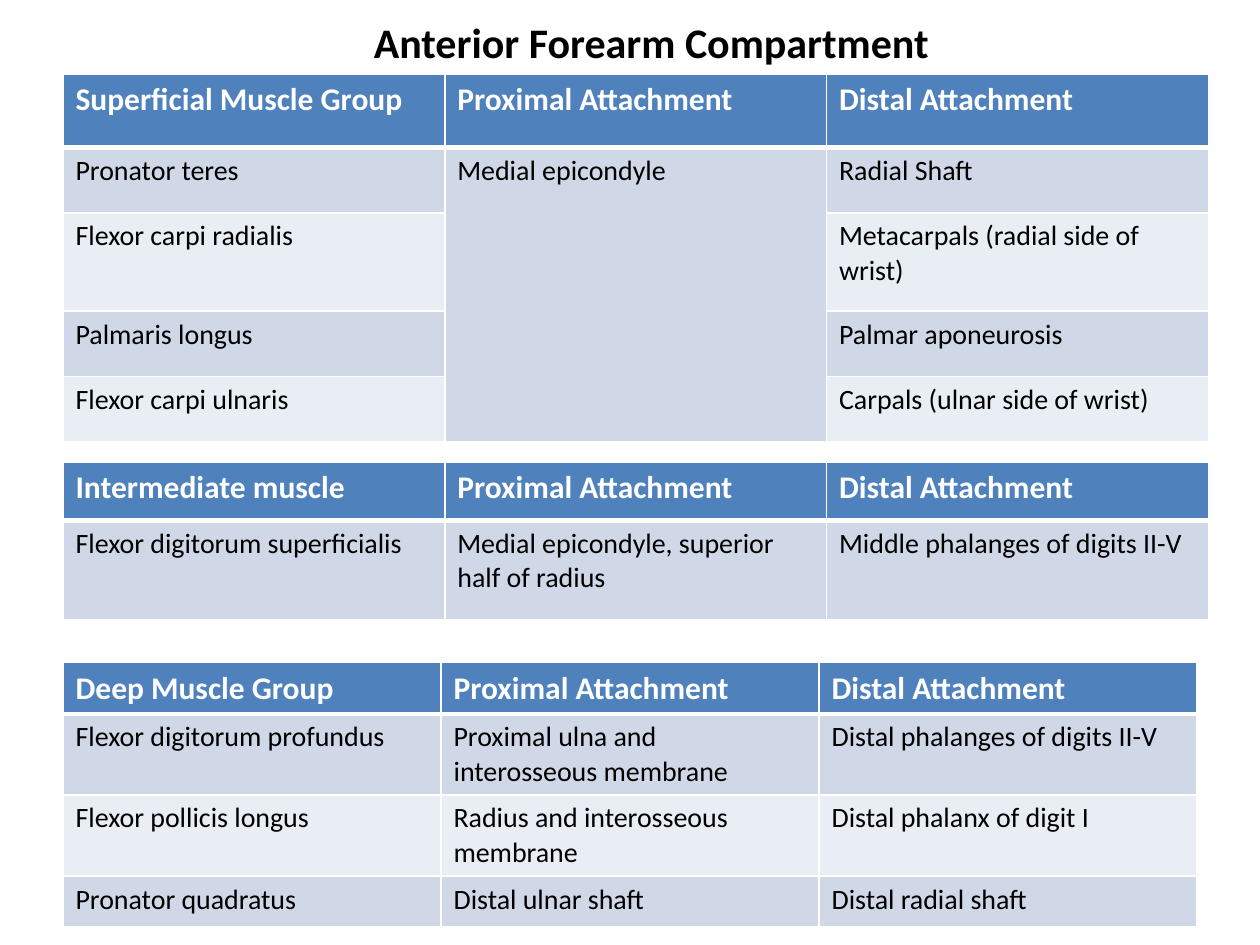
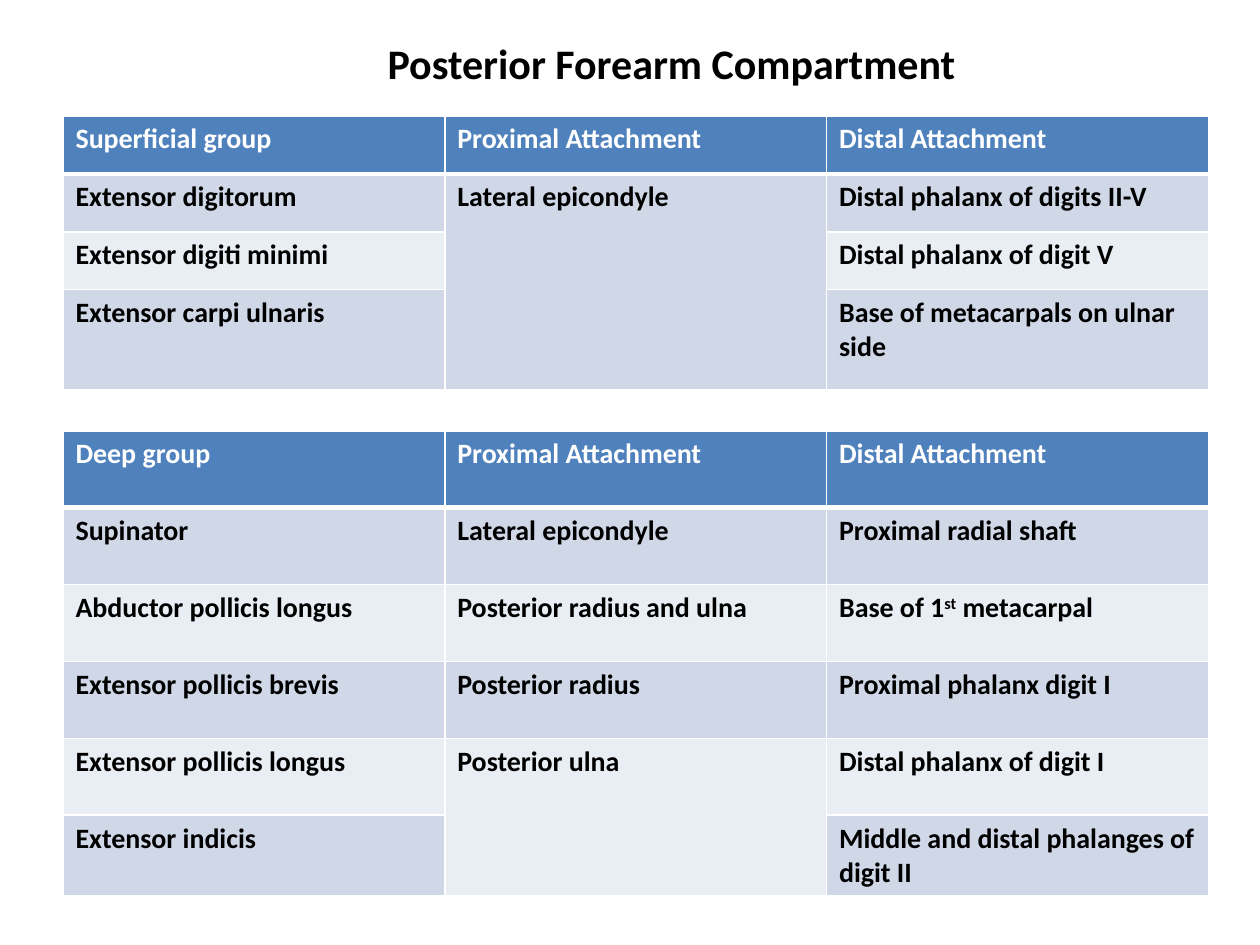
from lxml.etree import SubElement
from pptx import Presentation
from pptx.dml.color import RGBColor
from pptx.enum.text import MSO_ANCHOR, PP_ALIGN
from pptx.oxml.ns import qn
from pptx.util import Inches, Pt

FONT = "Calibri"
BLACK, WHITE = "000000", "FFFFFF"
HEADER_FILL = "4F81BD"
BAND_FILLS = ("D0D8E8", "E9EDF4")
LEFT = 0.5
TITLE_SIZE = (6, 0.5)
THIN, THICK = 1, 3
SUPERSCRIPT_MARK = "^"
ATTACHMENTS = ("Proximal Attachment", "Distal Attachment")

# A None cell continues the cell above it; ^ encloses superscript text.
COMPARTMENTS = [
    {
        "title": "Anterior Forearm Compartment",
        "title_at": (2.17, 0.08),
        "header": {"size": Pt(18), "bold": True},
        "body": {"size": Pt(16), "bold": False},
        "groups": [
            {
                "name": "Superficial Muscle Group",
                "top": 0.59,
                "column": 3.03,
                "heights": (0.58, 0.52, 0.78, 0.52, 0.52),
                "muscles": [
                    ("Pronator teres", "Medial epicondyle", "Radial Shaft"),
                    ("Flexor carpi radialis", None, "Metacarpals (radial side of wrist)"),
                    ("Palmaris longus", None, "Palmar aponeurosis"),
                    ("Flexor carpi ulnaris", None, "Carpals (ulnar side of wrist)"),
                ],
            },
            {
                "name": "Intermediate muscle",
                "top": 3.67,
                "column": 3.03,
                "heights": (0.46, 0.79),
                "muscles": [
                    ("Flexor digitorum superficialis",
                     "Medial epicondyle, superior half of radius",
                     "Middle phalanges of digits II-V"),
                ],
            },
            {
                "name": "Deep Muscle Group",
                "top": 5.26,
                "column": 3,
                "heights": (0.4, 0.64, 0.64, 0.4),
                "muscles": [
                    ("Flexor digitorum profundus",
                     "Proximal ulna and interosseous membrane",
                     "Distal phalanges of digits II-V"),
                    ("Flexor pollicis longus",
                     "Radius and interosseous membrane",
                     "Distal phalanx of digit I"),
                    ("Pronator quadratus", "Distal ulnar shaft", "Distal radial shaft"),
                ],
            },
        ],
    },
    {
        "title": "Posterior Forearm Compartment",
        "title_at": (2.33, 0.25),
        "header": {"size": Pt(16), "bold": True},
        "body": {"size": Pt(16), "bold": True},
        "groups": [
            {
                "name": "Superficial group",
                "top": 0.92,
                "column": 3.03,
                "heights": (0.46, 0.46, 0.46, 0.79),
                "muscles": [
                    ("Extensor digitorum", "Lateral epicondyle", "Distal phalanx of digits II-V"),
                    ("Extensor digiti minimi", None, "Distal phalanx of digit V"),
                    ("Extensor carpi ulnaris", None, "Base of metacarpals on ulnar side"),
                ],
            },
            {
                "name": "Deep group",
                "top": 3.42,
                "column": 3.03,
                "heights": (0.61,) * 5 + (0.64,),
                "muscles": [
                    ("Supinator", "Lateral epicondyle", "Proximal radial shaft"),
                    ("Abductor pollicis longus", "Posterior radius and ulna",
                     "Base of 1^st^ metacarpal"),
                    ("Extensor pollicis brevis", "Posterior radius", "Proximal phalanx digit I"),
                    ("Extensor pollicis longus", "Posterior ulna", "Distal phalanx of digit I"),
                    ("Extensor indicis", None, "Middle and distal phalanges of digit II"),
                ],
            },
        ],
    },
]


def rgb(color):
    return RGBColor.from_string(color)


def write(paragraph, text, color, style):
    """Add the text as runs; every second piece between marks is superscript."""
    for index, piece in enumerate(text.split(SUPERSCRIPT_MARK)):
        run = paragraph.add_run()
        run.text = piece
        for name, value in {"name": FONT, **style}.items():
            setattr(run.font, name, value)
        run.font.color.rgb = rgb(color)
        if index % 2:
            run.font._element.set("baseline", "30000")


def set_borders(cell, top, bottom):
    properties = cell._tc.get_or_add_tcPr()
    for side, width in {"L": THIN, "R": THIN, "T": top, "B": bottom}.items():
        line = SubElement(properties, qn(f"a:ln{side}"), w=str(Pt(width)))
        fill = SubElement(line, qn("a:solidFill"))
        SubElement(fill, qn("a:srgbClr"), val=WHITE)


def add_title(slide, text, left, top):
    title = slide.shapes.title
    box = zip(("left", "top", "width", "height"), (left, top, *TITLE_SIZE))
    for name, value in box:
        setattr(title, name, Inches(value))
    frame = title.text_frame
    frame.word_wrap = True
    frame.vertical_anchor = MSO_ANCHOR.MIDDLE
    paragraph = frame.paragraphs[0]
    paragraph.alignment = PP_ALIGN.CENTER
    write(paragraph, text, BLACK, {"size": Pt(24), "bold": True})


def add_muscle_table(slide, group, header, body):
    rows = [(group["name"], *ATTACHMENTS), *group["muscles"]]
    columns = len(rows[0])
    table = slide.shapes.add_table(
        len(rows), columns, Inches(LEFT), Inches(group["top"]),
        Inches(columns * group["column"]), Inches(sum(group["heights"]))).table
    for column in table.columns:
        column.width = Inches(group["column"])
    for row, height in zip(table.rows, group["heights"]):
        row.height = Inches(height)

    for r, texts in enumerate(rows):
        is_header = r == 0
        fill = HEADER_FILL if is_header else BAND_FILLS[(r - 1) % 2]
        for c, text in enumerate(texts):
            cell = table.cell(r, c)
            set_borders(cell, THICK if r == 1 else THIN, THICK if is_header else THIN)
            cell.fill.solid()
            cell.fill.fore_color.rgb = rgb(fill)
            if text:
                write(cell.text_frame.paragraphs[0], text,
                      WHITE if is_header else BLACK, header if is_header else body)
    merge_continued_cells(table, rows)


def merge_continued_cells(table, rows):
    for c, texts in enumerate(zip(*rows)):
        starts = [r for r, text in enumerate(texts) if text]
        for start, following in zip(starts, starts[1:] + [len(texts)]):
            if following - start > 1:
                table.cell(start, c).merge(table.cell(following - 1, c))


def add_compartment_slide(presentation, compartment):
    slide = presentation.slides.add_slide(presentation.slide_layouts.get_by_name("Title Only"))
    add_title(slide, compartment["title"], *compartment["title_at"])
    for group in compartment["groups"]:
        add_muscle_table(slide, group, compartment["header"], compartment["body"])


def main():
    presentation = Presentation()
    presentation.slide_width = Inches(10)
    presentation.slide_height = Inches(7.5)
    for compartment in COMPARTMENTS:
        add_compartment_slide(presentation, compartment)
    presentation.save("out.pptx")


if __name__ == "__main__":
    main()
